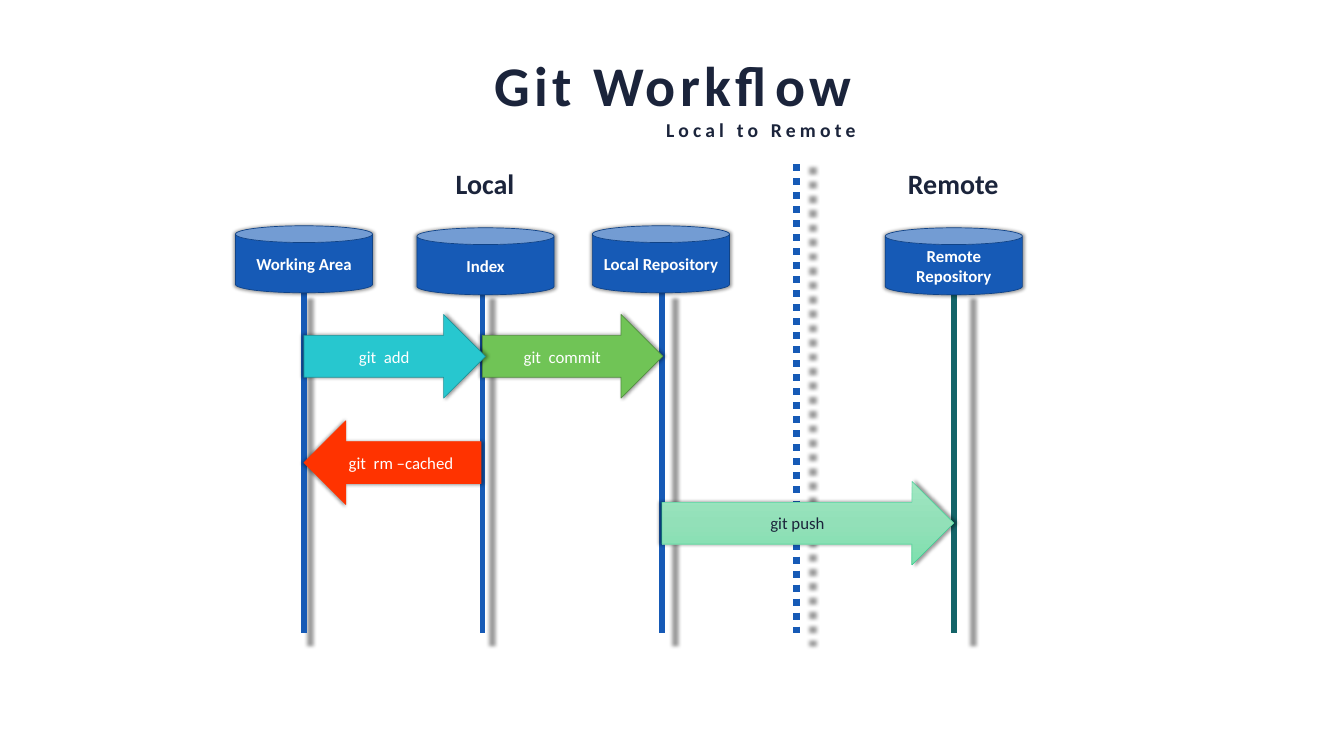
import copy
import lxml.etree
import pptx
import pptx.util
from pptx.dml.color import RGBColor
from pptx.enum.dml import MSO_LINE
from pptx.enum.shapes import MSO_CONNECTOR, MSO_SHAPE
from pptx.enum.text import MSO_ANCHOR, MSO_AUTO_SIZE, PP_ALIGN
from pptx.oxml.ns import qn

PX = 9144  # 100 px to the inch
BLUE, NAVY, WHITE = "165AB6", "1B243B", "FFFFFF"
SHADE = """<a:effectLst xmlns:a="http://schemas.openxmlformats.org/drawingml/2006/main">
  <a:outerShdw blurRad="63500" sx="102000" sy="102000" algn="ctr" rotWithShape="0">
    <a:srgbClr val="000000"><a:alpha val="40000"/></a:srgbClr>
  </a:outerShdw>
</a:effectLst>"""


def write(par, text, size=24, color=WHITE, bold=False, gap=0, align=PP_ALIGN.CENTER):
    par.alignment = align
    run = par.add_run()
    run.text = text
    run.font.name = "Calibri"
    run.font.size = pptx.util.Pt(size)
    run.font.bold = bold
    run.font.color.rgb = RGBColor.from_string(color)
    if gap:
        run.font._element.set("spc", str(gap * 100))


def finish(item, color, width):
    """Set the outline, then the soft shadow that must follow it."""
    item.line.color.rgb = RGBColor.from_string(color)
    item.line.width = pptx.util.Pt(width)
    item.element.spPr.append(lxml.etree.fromstring(SHADE))


deck = pptx.Presentation()
deck.slide_width, deck.slide_height = 2666 * PX, 1500 * PX
slide = deck.slides.add_slide(deck.slide_layouts[6])
shapes = slide.shapes

# Title and area headings
heads = [
    (964, 95, 743, 192, [("Git Workflow", 80, 6, PP_ALIGN.CENTER),
                         ("Local to Remote", 28, 6, PP_ALIGN.RIGHT)]),
    (894, 326, 139, 77, [("Local", 40, 0, PP_ALIGN.LEFT)]),
    (1791, 326, 202, 77, [("Remote", 40, 0, PP_ALIGN.LEFT)]),
]
for x, y, w, h, rows in heads:
    frame = shapes.add_textbox(x * PX, y * PX, w * PX, h * PX).text_frame
    frame.word_wrap = False
    frame.auto_size = MSO_AUTO_SIZE.SHAPE_TO_FIT_TEXT
    for i, (text, size, gap, align) in enumerate(rows):
        par = frame.add_paragraph() if i else frame.paragraphs[0]
        write(par, text, size=size, color=NAVY, bold=True, gap=gap, align=align)

# Dotted border, then one lifeline per store
WORK, INDEX, LOCAL, REMOTE = 603, 957, 1313, 1892
lines = [(1580, 326, BLUE, 10), (WORK, 582, BLUE, 8), (INDEX, 582, BLUE, 8),
         (LOCAL, 582, BLUE, 8), (REMOTE, 582, "146468", 8)]
for x, top, color, width in lines:
    line = shapes.add_connector(MSO_CONNECTOR.STRAIGHT, x * PX, top * PX, x * PX, 1255 * PX)
    finish(line, color, width)
    if width == 10:
        line.line.dash_style = MSO_LINE.ROUND_DOT

# Stores and commands: kind, x, y, w, h, text, fill, outline
CAN, ARROW = MSO_SHAPE.CAN, MSO_SHAPE.RIGHT_ARROW
MINT = ["A0E7C2", "92E0B8", "7EE0AE"]
stores = [(467, 448, "Working Area"), (827, 452, "Index"),
          (1175, 448, "Local Repository"), (1756, 452, "Remote Repository")]
parts = [(CAN, x, y, 272, 133, text, BLUE, "104387") for x, y, text in stores]
parts += [
    (ARROW, INDEX, 624, 358, 166, "git  commit", "70C456", "539140"),
    (ARROW, LOCAL, 955, 579, 166, "git push", MINT, "27C78A"),
    (ARROW, WORK, 624, 360, 166, "git  add", "27C7CF", "1D9399"),
    (ARROW, WORK, 835, 351, 166, "git  rm –cached ", "FF3300", "FF3300"),
]
for kind, x, y, w, h, text, fill, edge in parts:
    shape = shapes.add_shape(kind, x * PX, y * PX, w * PX, h * PX)
    blend = fill is MINT
    if blend:
        shape.fill.gradient()
        shape.fill.gradient_angle = 270
        stops = shape.element.spPr.find(qn("a:gradFill")).find(qn("a:gsLst"))
        stops.insert(1, copy.deepcopy(stops[0]))
        for i, stop in enumerate(shape.fill.gradient_stops):
            stop.color.rgb = RGBColor.from_string(MINT[i])
            stop.position = i / 2
    else:
        shape.fill.solid()
        shape.fill.fore_color.rgb = RGBColor.from_string(fill)
    finish(shape, edge, 0.5 if blend else 1)
    if "rm" in text:
        shape.element.spPr.xfrm.set("flipH", "1")
    shape.text_frame.word_wrap = True
    shape.text_frame.vertical_anchor = MSO_ANCHOR.MIDDLE
    write(shape.text_frame.paragraphs[0], text, bold=kind == CAN,
          color=NAVY if blend else WHITE)

deck.save("out.pptx")
